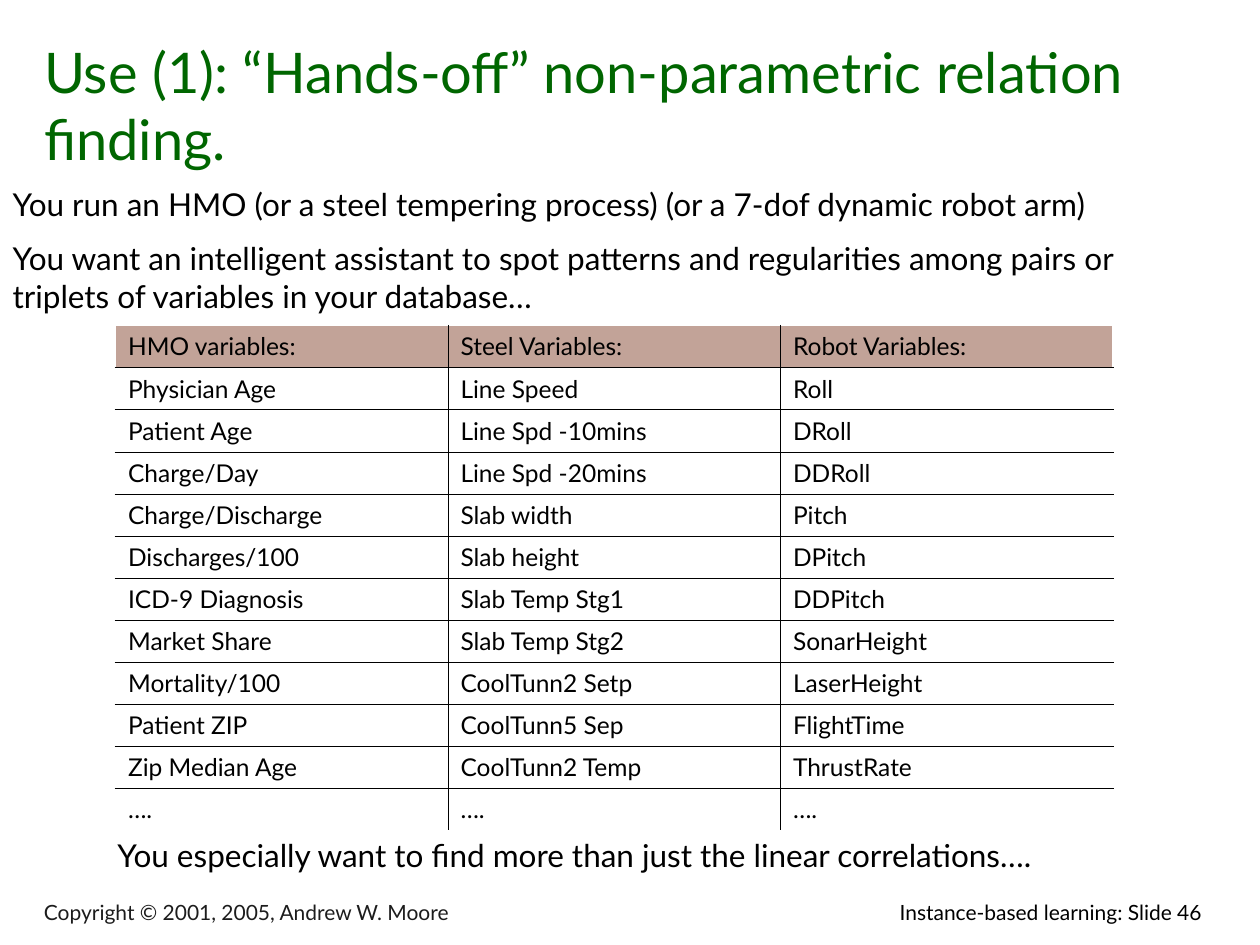
from lxml.etree import SubElement as Sub
from pptx import Presentation as Deck
from pptx.dml.color import RGBColor as Color
from pptx.enum.text import MSO_ANCHOR as Anchor, MSO_AUTO_SIZE as Fit, PP_ALIGN as Align
from pptx.oxml.ns import qn
from pptx.util import Pt

BLACK = Color(0, 0, 0)
GREY = Color(0x1C, 0x1C, 0x1C)
GREEN = Color(0, 0x66, 0)
TAN = Color(0xC2, 0xA3, 0x98)

ROWS = [
    ("HMO variables:", "Steel Variables:", "Robot Variables:"),
    ("Physician Age", "Line Speed", "Roll"),
    ("Patient Age", "Line Spd -10mins", "DRoll"),
    ("Charge/Day", "Line Spd -20mins", "DDRoll"),
    ("Charge/Discharge", "Slab width", "Pitch"),
    ("Discharges/100", "Slab height", "DPitch"),
    ("ICD-9 Diagnosis", "Slab Temp Stg1", "DDPitch"),
    ("Market Share", "Slab Temp Stg2", "SonarHeight"),
    ("Mortality/100", "CoolTunn2 Setp", "LaserHeight"),
    ("Patient ZIP", "CoolTunn5 Sep", "FlightTime"),
    ("Zip Median Age", "CoolTunn2 Temp", "ThrustRate"),
    ("….", "….", "…."),
]


def apply(item, style):
    """Set each attribute of item from a dict."""
    for name, value in style.items():
        setattr(item, name, value)


class Page:
    """Holds the text style and the current slide."""

    face = "Lato"

    def __init__(self, deck):
        """Add a slide with a title and a body."""
        self.slide = deck.slides.add_slide(deck.slide_layouts[1])

    def fill(self, frame, lines, size, color=BLACK, align=Align.LEFT, gap=0):
        """Fill a frame with paragraphs in the page's face."""
        frame.text = "\n".join(lines)
        for i, para in enumerate(frame.paragraphs):
            apply(para, {"alignment": align, "space_before": Pt(gap if i else 0)})
            for run in para.runs:
                apply(run.font, {"name": self.face, "size": Pt(size)})
                run.font.color.rgb = color

    def place(self, shape, box, anchor):
        """Move a shape and set how its frame holds text."""
        apply(shape, dict(zip(("left", "top", "width", "height"), map(Pt, box))))
        apply(shape.text_frame, {
            "word_wrap": True, "auto_size": Fit.NONE, "vertical_anchor": anchor})

    def title(self, text, box):
        """Fill the title placeholder."""
        shape = self.slide.shapes.title
        self.place(shape, box, Anchor.BOTTOM)
        self.fill(shape.text_frame, [text], 32, GREEN)

    def body(self, lines, box):
        """Fill the body placeholder, without bullets."""
        shape = self.slide.placeholders[1]
        self.place(shape, box, Anchor.TOP)
        self.fill(shape.text_frame, lines, 18, gap=9.6)
        for para in shape.text_frame.paragraphs:
            props = para._p.get_or_add_pPr()
            props.set("marL", "0")
            props.set("indent", "0")
            Sub(props, qn("a:buNone"))

    def text(self, line, box, size, anchor=Anchor.TOP, **style):
        """Add a text box of one line."""
        shape = self.slide.shapes.add_textbox(0, 0, 0, 0)
        self.place(shape, box, anchor)
        self.fill(shape.text_frame, [line], size, **style)

    def edge(self, cell, sides):
        """Draw thin black borders on the named sides of a cell."""
        props = cell._tc.get_or_add_tcPr()
        for side in sides:
            line = Sub(props, qn("a:ln" + side), w=str(Pt(0.25)))
            paint = Sub(line, qn("a:solidFill"))
            Sub(paint, qn("a:srgbClr"), val=str(BLACK))

    def table(self, rows, left, top, wide, high):
        """Add a table with inner rules and a tinted head."""
        down, across = len(rows), len(rows[0])
        grid = self.slide.shapes.add_table(
            down, across, Pt(left), Pt(top), Pt(wide * across), Pt(high * down)).table
        apply(grid, {"first_row": False, "horz_banding": False})
        for r, row in enumerate(rows):
            for c, word in enumerate(row):
                cell = grid.cell(r, c)
                self.fill(cell.text_frame, [word], 14)
                inner = {"L": c > 0, "R": c < across - 1, "T": r > 0, "B": r < down - 1}
                self.edge(cell, [side for side, on in inner.items() if on])
                if r:
                    cell.fill.background()
                else:
                    cell.fill.solid()
                    cell.fill.fore_color.rgb = TAN


def main():
    """Build the slide and save it."""
    deck = Deck()
    apply(deck, {"slide_width": Pt(720), "slide_height": Pt(540)})
    page = Page(deck)
    page.text("Instance-based learning: Slide 46", (412, 510.5, 282, 21.6), 12,
              align=Align.RIGHT)
    page.text("Copyright © 2001, 2005, Andrew W. Moore", (18, 512, 400, 20), 12,
              Anchor.BOTTOM, color=GREY)
    page.title("Use (1): “Hands-off” non-parametric relation finding.",
               (18, 18, 672, 84))
    page.body([
        "You run an HMO (or a steel tempering process) (or a 7-dof dynamic robot arm)",
        "You want an intelligent assistant to spot patterns and regularities among "
        "pairs or triplets of variables in your database…",
    ], (0, 102, 672, 84))
    page.table(ROWS, 66, 186, 190, 24)
    page.text("You especially want to find more than just the linear correlations….",
              (60, 474, 582, 29), 18)
    deck.save("out.pptx")


main()
